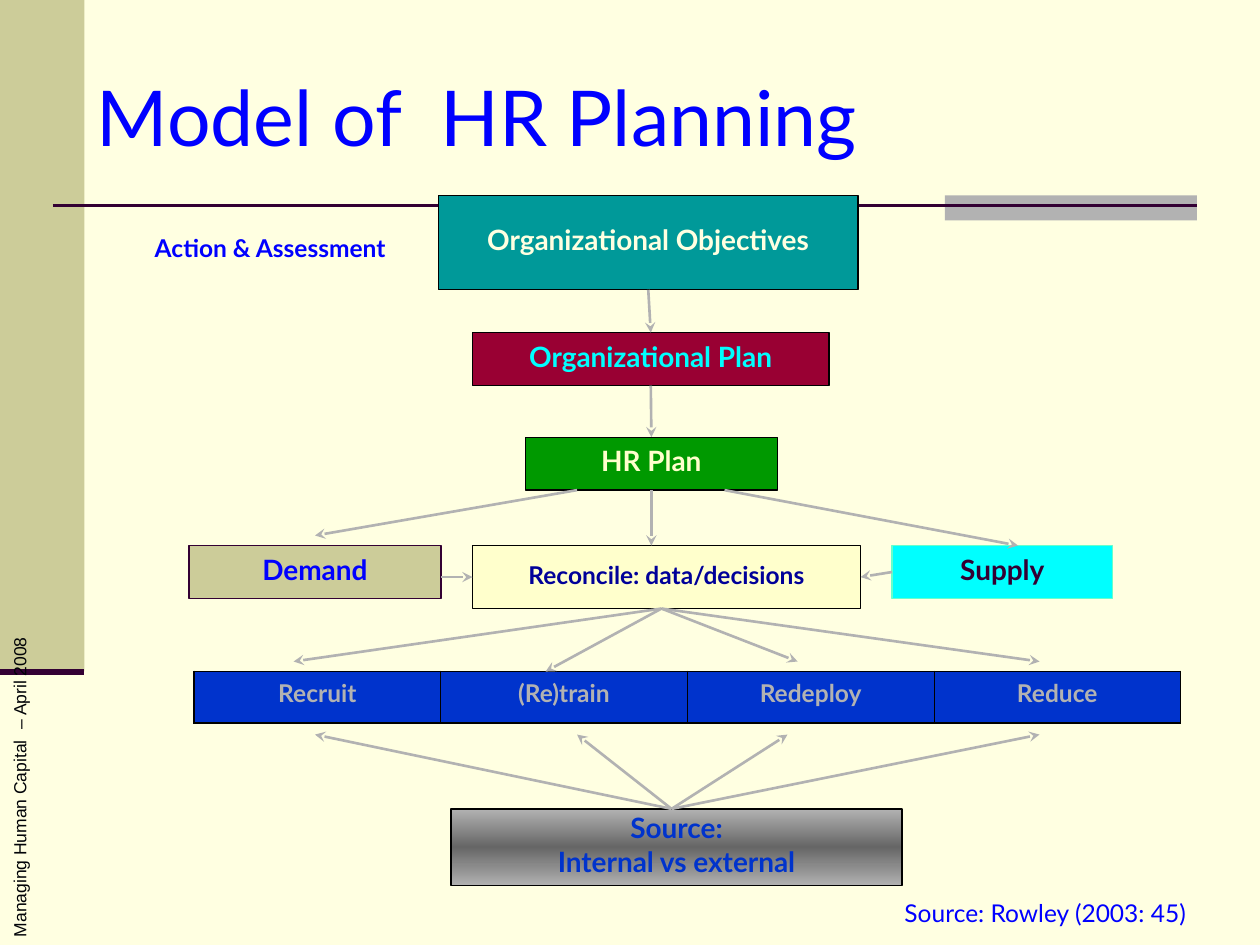
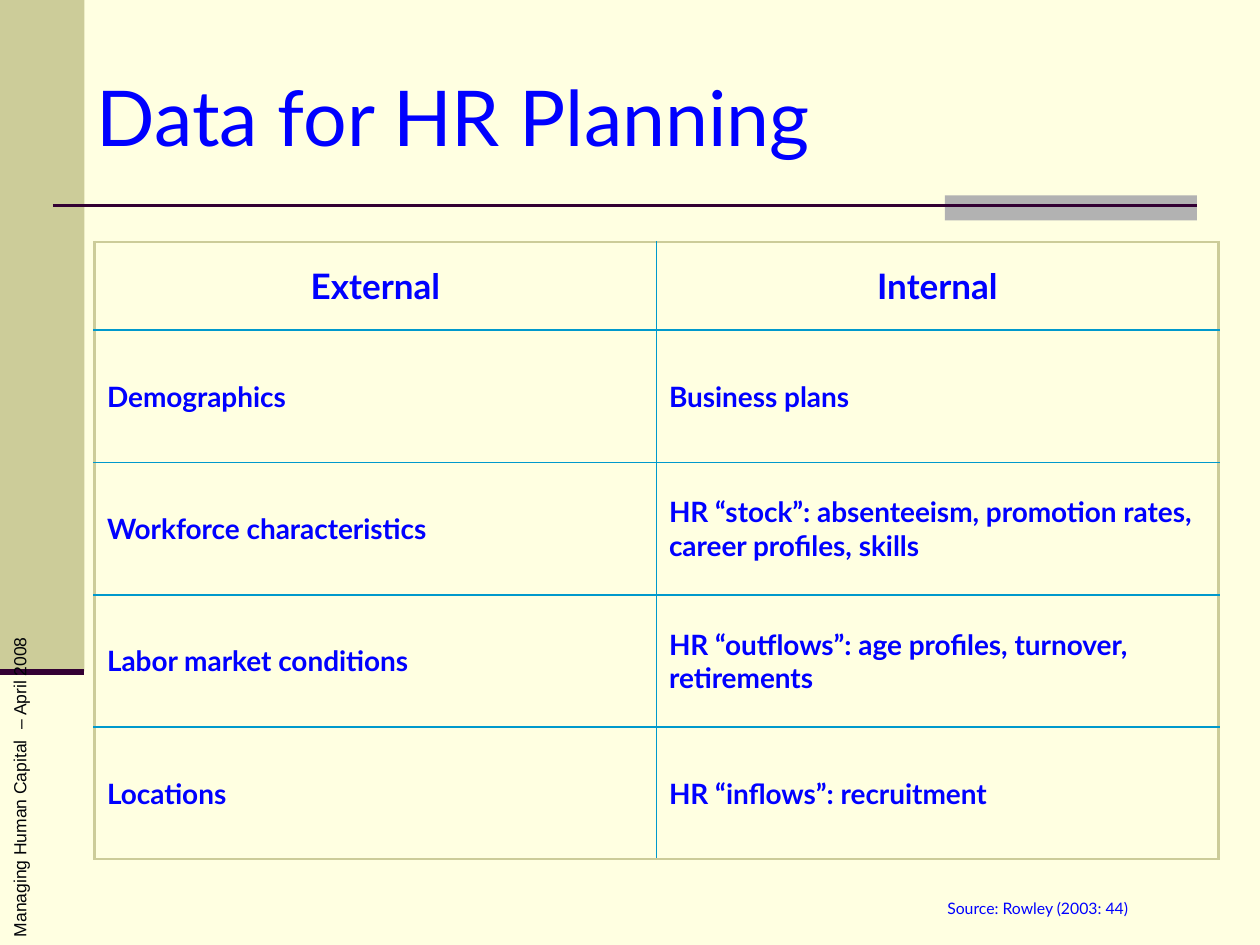
from copy import deepcopy

from lxml.etree import SubElement as Sub
from pptx import Presentation
from pptx.dml.color import RGBColor as RGB
from pptx.enum.shapes import MSO_CONNECTOR as Conn, MSO_SHAPE as Form
from pptx.enum.text import MSO_ANCHOR as Anchor, PP_ALIGN as Align
from pptx.oxml.ns import qn
from pptx.util import Inches, Pt

CREAM = RGB(0xFF, 0xFF, 0xE1)
SAND = RGB(0xCC, 0xCC, 0x99)
GRAY = RGB(0xB2, 0xB2, 0xB2)
SLATE = RGB(0x66, 0x66, 0x66)
PLUM = RGB(0x33, 0x00, 0x33)
BLUE = RGB(0x00, 0x00, 0xFF)
ROYAL = RGB(0x00, 0x33, 0xCC)
NAVY = RGB(0x00, 0x00, 0x99)
SKY = RGB(0x00, 0x99, 0xCC)
TEAL = RGB(0x00, 0x99, 0x99)
WINE = RGB(0x99, 0x00, 0x33)
GREEN = RGB(0x00, 0x99, 0x00)
LEMON = RGB(0xFF, 0xFF, 0xCC)
AQUA = RGB(0x00, 0xFF, 0xFF)
MINT = RGB(0x66, 0xFF, 0xCC)
INK = RGB(0x01, 0x03, 0x07)
BLACK = RGB(0, 0, 0)

TOP, LEFT, BOTTOM, RIGHT = range(4)


class Deck:
    """Holds the style and the current slide."""

    font = "Lato"

    def __init__(self):
        self.prs = Presentation()
        self.prs.slide_width = Inches(10)
        self.prs.slide_height = Inches(7.5)
        ground = self.prs.slide_master.background.fill
        ground.solid()
        ground.fore_color.rgb = CREAM

    def page(self, title):
        """Start a slide with the shared side band, rules, footer and title."""
        self.slide = self.prs.slides.add_slide(self.prs.slide_layouts[6])
        self.box((0, 0, 0.67, 5.33), SAND)
        self.box((7.5, 1.55, 2, 0.2), GRAY)
        self.line((0.42, 1.63), (9.5, 1.63), PLUM, 1.5)
        self.line((0, 5.33), (0.67, 5.33), PLUM, 3.5)
        foot = self.text((-1.17, 6.06, 2.61, 0.34), "Managing Human Capital", 10,
                         INK, name="Arial")
        foot.rotation = 270
        foot.text_frame.word_wrap = False
        para = foot.text_frame.paragraphs[0]
        self.style(para.add_run(), " ", 14, BLACK, name="Times New Roman")
        self.style(para.add_run(), " – April 2008", 10, INK, name="Arial")
        self.text((0.67, 0.5, 8.58, 0.83), title, 44, anchor=Anchor.MIDDLE)

    def style(self, run, text, size, color, **more):
        run.text = text
        look = {"name": self.font, "size": Pt(size), "bold": False} | more
        for key, value in look.items():
            setattr(run.font, key, value)
        run.font.color.rgb = color

    def put(self, frame, text, size, color, bold=False, gap=0, **form):
        """Fill a text frame, one paragraph for each line of text."""
        for i, part in enumerate(text.split("\n")):
            para = frame.add_paragraph() if i else frame.paragraphs[0]
            if i and gap:
                para.space_before = Pt(gap)
            for key, value in form.items():
                setattr(para, key, value)
            self.style(para.add_run(), part, size, color, bold=bold)

    def text(self, at, text, size, color=BLUE, name=None, bold=False,
             anchor=Anchor.TOP, **form):
        item = self.slide.shapes.add_textbox(*map(Inches, at))
        frame = item.text_frame
        frame.word_wrap = True
        frame.vertical_anchor = anchor
        self.put(frame, text, size, color, bold, **form)
        if name:
            frame.paragraphs[0].runs[0].font.name = name
        return item

    def box(self, at, fill, text="", color=BLACK, edge=None, size=16):
        """Draw a rectangle; a list of colours gives an even gradient."""
        item = self.slide.shapes.add_shape(Form.RECTANGLE, *map(Inches, at))
        item.shadow.inherit = False
        if isinstance(fill, list):
            self.blend(item, fill)
        else:
            item.fill.solid()
            item.fill.fore_color.rgb = fill
        if edge is None:
            item.line.fill.background()
        else:
            item.line.color.rgb = edge
            item.line.width = Pt(0.75)
        if text:
            frame = item.text_frame
            frame.word_wrap = True
            frame.vertical_anchor = Anchor.MIDDLE
            self.put(frame, text, size, color, True, gap=4,
                     alignment=Align.CENTER, line_spacing=0.8)
        return item

    def blend(self, item, colors):
        item.fill.gradient()
        item.fill.gradient_angle = 90
        stops = item._element.spPr.find(".//" + qn("a:gsLst"))
        while len(stops) < len(colors):
            stops.append(deepcopy(stops[0]))
        for i, stop in enumerate(item.fill.gradient_stops):
            stop.position = i / (len(colors) - 1)
            stop.color.rgb = colors[i]

    def line(self, start, end, color, width):
        item = self.slide.shapes.add_connector(
            Conn.STRAIGHT, *map(Inches, (*start, *end)))
        item.line.color.rgb = color
        item.line.width = Pt(width)
        Sub(item._element.spPr, qn("a:effectLst"))
        return item

    def arrow(self, start, end, tail=None, head=None):
        """Draw an arrow; tail and head are (box, side) pairs to join."""
        item = self.line(start, end, GRAY, 1.5)
        Sub(item._element.spPr.find(qn("a:ln")), qn("a:tailEnd"), type="stealth")
        if tail:
            item.begin_connect(*tail)
        if head:
            item.end_connect(*head)

    def border(self, cell, sides):
        props = cell._tc.get_or_add_tcPr()
        for i, (side, (color, width)) in enumerate(sides.items()):
            edge = props.makeelement(qn("a:" + side), {"w": str(Pt(width))})
            paint = Sub(edge, qn("a:solidFill"))
            Sub(paint, qn("a:srgbClr"), val=str(color))
            props.insert(i, edge)

    def table(self, at, rows, highs, outer, inner, fill=None, look=None):
        """Draw a grid; look(row) gives the text format of a row."""
        count, wide = len(rows), len(rows[0])
        grid = self.slide.shapes.add_table(count, wide, *map(Inches, at)).table
        grid.first_row = grid.horz_banding = False
        for r, row in enumerate(rows):
            grid.rows[r].height = Inches(highs[r])
            for c, text in enumerate(row):
                cell = grid.cell(r, c)
                form = dict(look(r))
                cell.vertical_anchor = form.pop("anchor")
                self.put(cell.text_frame, text, bold=True, **form)
                if fill is None:
                    cell.fill.background()
                else:
                    cell.fill.solid()
                    cell.fill.fore_color.rgb = fill
                self.border(cell, {
                    "lnL": inner if c else outer,
                    "lnR": inner if c < wide - 1 else outer,
                    "lnT": inner if r else outer,
                    "lnB": inner if r < count - 1 else outer})


def model(deck):
    deck.page("Model of  HR Planning")
    deck.text((1, 1.83, 2.29, 0.33), "Action & Assessment", 14, bold=True,
              alignment=Align.CENTER, line_spacing=0.9)
    deck.text((7.08, 7.08, 2.75, 0.25), "Source: Rowley (2003: 45)", 14)

    # Boxes of the model
    deck.box((3.58, 6.42, 3.58, 0.61), [GRAY, SLATE, GRAY],
             "Source:\nInternal vs external", ROYAL, BLACK)
    plan = deck.box((3.75, 2.64, 2.83, 0.42), WINE, "Organizational Plan",
                    AQUA, BLACK)
    goal = deck.box((3.48, 1.55, 3.33, 0.75), TEAL, "Organizational Objectives",
                    CREAM, BLACK)
    staff = deck.box((4.17, 3.47, 2, 0.42), GREEN, "HR Plan", LEMON, BLACK)
    match = deck.box((3.75, 4.33, 3.08, 0.5), LEMON, "Reconcile: data/decisions",
                     NAVY, BLACK, size=14)
    deck.box((1.5, 4.33, 2, 0.42), SAND, "Demand", BLUE, PLUM)
    supply = deck.box((7.08, 4.33, 1.75, 0.42), AQUA, "Supply", PLUM, MINT)

    # Strip of actions
    deck.table((1.54, 5.33, 7.83, 0.41),
               [["Recruit", "(Re)train", "Redeploy", "Reduce"]], [0.41],
               (BLACK, 1.08), (BLACK, 0.45), ROYAL,
               lambda r: {"size": 14, "color": GRAY, "anchor": Anchor.TOP,
                          "alignment": Align.CENTER})

    # Arrows down the middle and to both sides
    deck.arrow((5.17, 2.3), (5.17, 2.64), (goal, BOTTOM), (plan, TOP))
    deck.arrow((5.17, 3.05), (5.17, 3.47), (plan, BOTTOM), (staff, TOP))
    deck.arrow((5.17, 3.89), (5.17, 4.33), (staff, BOTTOM))
    deck.arrow((4.58, 3.89), (2.5, 4.25))
    deck.arrow((5.75, 3.89), (8.08, 4.33))
    deck.arrow((3.5, 4.58), (3.75, 4.58), head=(match, LEFT))
    deck.arrow((7.08, 4.56), (6.83, 4.56), (supply, LEFT), (match, RIGHT))

    # Fans to the strip from above and below
    for x, y in (4.33, 5.33), (6.33, 5.25), (2.33, 5.25), (8.25, 5.25):
        deck.arrow((5.25, 4.83), (x, y))
    for x in 6.25, 4.58, 8.25, 2.5:
        deck.arrow((5.33, 6.42), (x, 5.83))


def data(deck):
    deck.page("Data for HR Planning")
    rows = [
        ["External", "Internal"],
        ["Demographics", "Business plans"],
        ["Workforce characteristics",
         "HR “stock”: absenteeism, promotion rates, career profiles, skills"],
        ["Labor market conditions",
         "HR “outflows”: age profiles, turnover, retirements"],
        ["Locations", "HR “inflows”: recruitment"],
    ]
    deck.table((0.75, 1.92, 8.92, 4.92), rows, [0.7] + [1.05] * 4,
               (SAND, 1.47), (SKY, 1.08),
               look=lambda r: {"size": 16 if r else 20, "color": BLUE,
                               "anchor": Anchor.MIDDLE,
                               "alignment": Align.LEFT if r else Align.CENTER})
    deck.text((7.42, 7.08, 2.33, 0.25), "Source: Rowley (2003: 44)", 9)


def main():
    deck = Deck()
    model(deck)
    data(deck)
    deck.prs.save("out.pptx")


if __name__ == "__main__":
    main()
